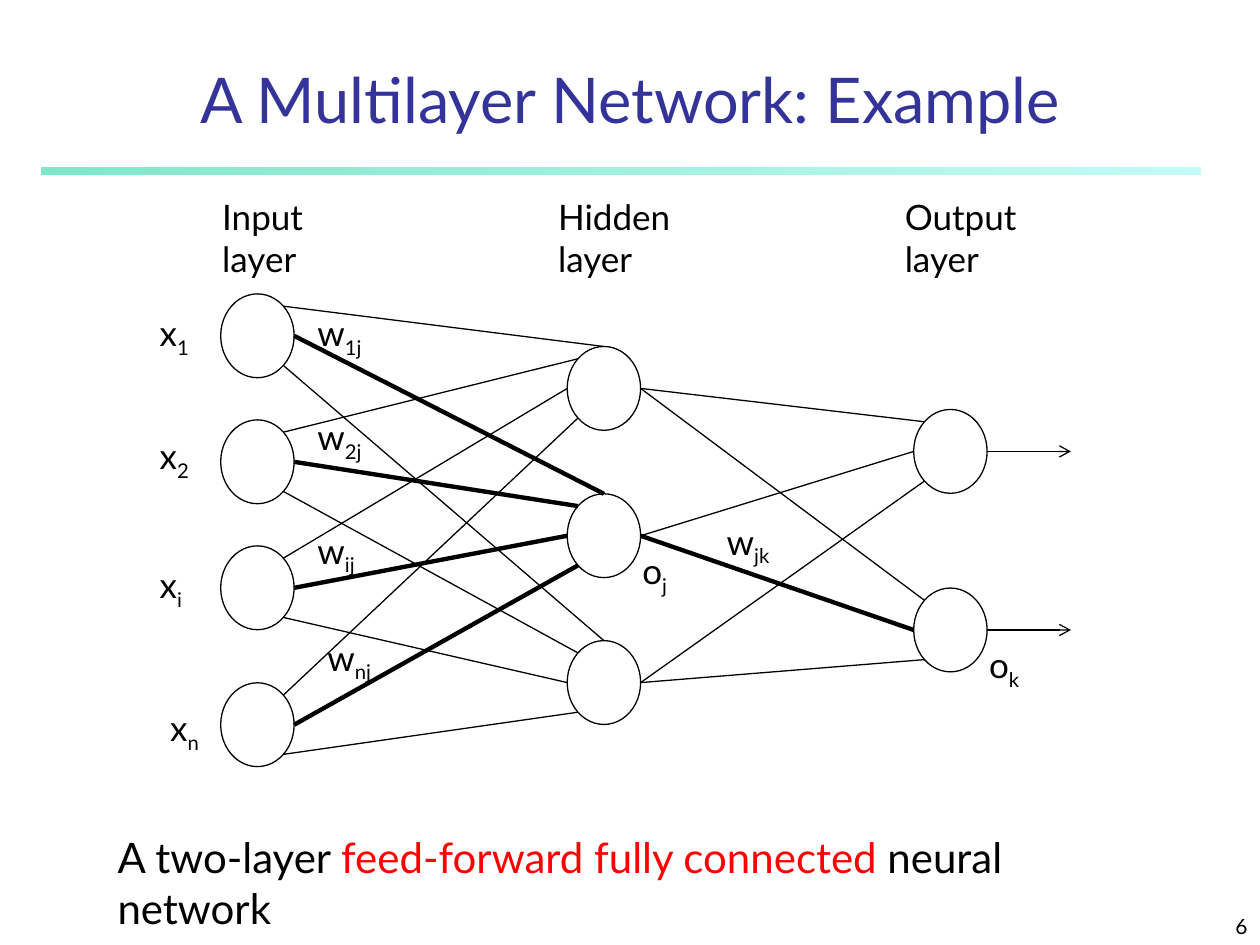
from itertools import product
from math import cos, radians, sin

from lxml.etree import SubElement
from pptx import Presentation
from pptx.dml.color import RGBColor
from pptx.enum.shapes import MSO_CONNECTOR as CONN, MSO_SHAPE as SHAPE
from pptx.enum.text import MSO_ANCHOR as ANCHOR, PP_ALIGN as ALIGN
from pptx.oxml.ns import qn
from pptx.util import Cm, Pt

BLACK = RGBColor(0x00, 0x00, 0x00)
RED = RGBColor(0xFF, 0x00, 0x00)
INDIGO = RGBColor(0x33, 0x33, 0x99)
GREEN = RGBColor(0x00, 0xCE, 0x98)
AQUA = RGBColor(0x8F, 0xF9, 0xEF)

NODE_W, NODE_H = 1.48, 1.69
THIN, THICK = 0.74, 2.49
N, NW, W, SW, SE, E, NE = 90, 135, 180, 225, 315, 0, 45


class Canvas:
    font = "Lato"

    def __init__(self, slide):
        self.s = slide

    def text(self, x, y, w, h, runs, size=20, color=BLACK, align=ALIGN.LEFT, anchor=ANCHOR.TOP):
        tf = self.s.shapes.add_textbox(Cm(x), Cm(y), Cm(w), Cm(h)).text_frame
        tf.word_wrap = True
        tf.vertical_anchor = anchor
        p = tf.paragraphs[0]
        p.alignment = align
        p.font.name, p.font.size = self.font, Pt(size)
        p.font.color.rgb = color
        for content, run_color in runs:
            r = p.add_run()
            r.text = content
            if run_color is not None:
                r.font.color.rgb = run_color
        return p

    def symbol(self, x, y, base, index):
        p = self.text(x, y, 1.48, 1.22, [(base, None), (index, None)])
        p.runs[1]._r.get_or_add_rPr().set("baseline", "-25000")

    def node(self, x, y):
        sp = self.s.shapes.add_shape(
            SHAPE.OVAL, Cm(x - NODE_W / 2), Cm(y - NODE_H / 2), Cm(NODE_W), Cm(NODE_H))
        sp.shadow.inherit = False
        sp.fill.background()
        sp.line.color.rgb = BLACK
        sp.line.width = Pt(THIN)

    def line(self, start, end, width=THIN, arrow=False):
        cx = self.s.shapes.add_connector(CONN.STRAIGHT, *(Cm(v) for v in (*start, *end)))
        cx.line.color.rgb = BLACK
        cx.line.width = Pt(width)
        if arrow:
            SubElement(cx.line._get_or_add_ln(), qn("a:tailEnd"), type="arrow")
        SubElement(cx._element.spPr, qn("a:effectLst"))

    def bar(self, x, y, w, h, stops):
        sp = self.s.shapes.add_shape(SHAPE.RECTANGLE, Cm(x), Cm(y), Cm(w), Cm(h))
        sp.shadow.inherit = False
        sp.line.fill.background()
        sp.fill.gradient()
        sp.fill.gradient_angle = 0
        for stop, (color, _) in zip(sp.fill.gradient_stops, stops):
            stop.color.rgb = color
        colors = sp._element.spPr.iter(qn("a:srgbClr"))
        for clr, (_, opacity) in zip(list(colors), stops):
            SubElement(clr, qn("a:alpha"), val=str(opacity * 1000))


def rim(center, angle):
    x, y = center
    a = radians(angle)
    return x + NODE_W / 2 * cos(a), y - NODE_H / 2 * sin(a)


prs = Presentation()
prs.slide_width, prs.slide_height = Cm(25.4), Cm(19.05)
c = Canvas(prs.slides.add_slide(prs.slide_layouts[6]))

c.bar(0.84, 3.38, 23.37, 0.14, [(GREEN, 50), (AQUA, 52)])
c.text(20.12, 17.98, 5.28, 1.07, [("6", None)], 12, align=ALIGN.RIGHT, anchor=ANCHOR.BOTTOM)
c.text(0.74, 1.5, 23.93, 1.37, [("A Multilayer Network: Example", None)], 36, INDIGO,
       ALIGN.CENTER, ANCHOR.BOTTOM)

layer_rows = [(6.77, 9.31, 11.85, 14.61), (7.83, 10.8, 13.76), (9.1, 12.7)]
layers = [[(5.19 + 6.985 * i, y) for y in rows] for i, rows in enumerate(layer_rows)]
inputs, hidden, outputs = layers
for center in inputs + hidden + outputs:
    c.node(*center)

for (i, src), (j, dst) in product(enumerate(inputs), enumerate(hidden)):
    c.line(rim(src, (NE, E, SE)[j]), rim(dst, (N, NW, W, SW)[i]), THICK if j == 1 else THIN)
for (j, src), (k, dst) in product(enumerate(hidden), enumerate(outputs)):
    c.line(rim(src, E), rim(dst, (NW, W, SW)[j]), THICK if j == k == 1 else THIN)
for center in outputs:
    x, y = rim(center, E)
    c.line((x, y), (x + 1.69, y), arrow=True)

for x, name in ((4.23, "Input"), (11, "Hidden"), (17.99, "Output")):
    c.text(x, 3.81, 2.96, 1.96, [(f"{name} layer", None)])

for label in (
    (2.97, 6.15, "x", "1"), (2.97, 8.64, "x", "2"),
    (2.97, 11.23, "x", "i"), (3.18, 14.12, "x", "n"),
    (6.15, 6.15, "w", "1j"), (6.15, 8.26, "w", "2j"),
    (6.15, 10.54, "w", "ij"), (6.35, 12.7, "w", "nj"),
    (14.4, 10.36, "w", "jk"), (12.7, 10.95, "o", "j"), (19.69, 12.85, "o", "k"),
):
    c.symbol(*label)

c.text(2.12, 16.64, 21.4, 2.29, [
    ("A two-layer ", None), ("feed-forward fully connected ", RED), ("neural network", None)], 24)

prs.save("out.pptx")
